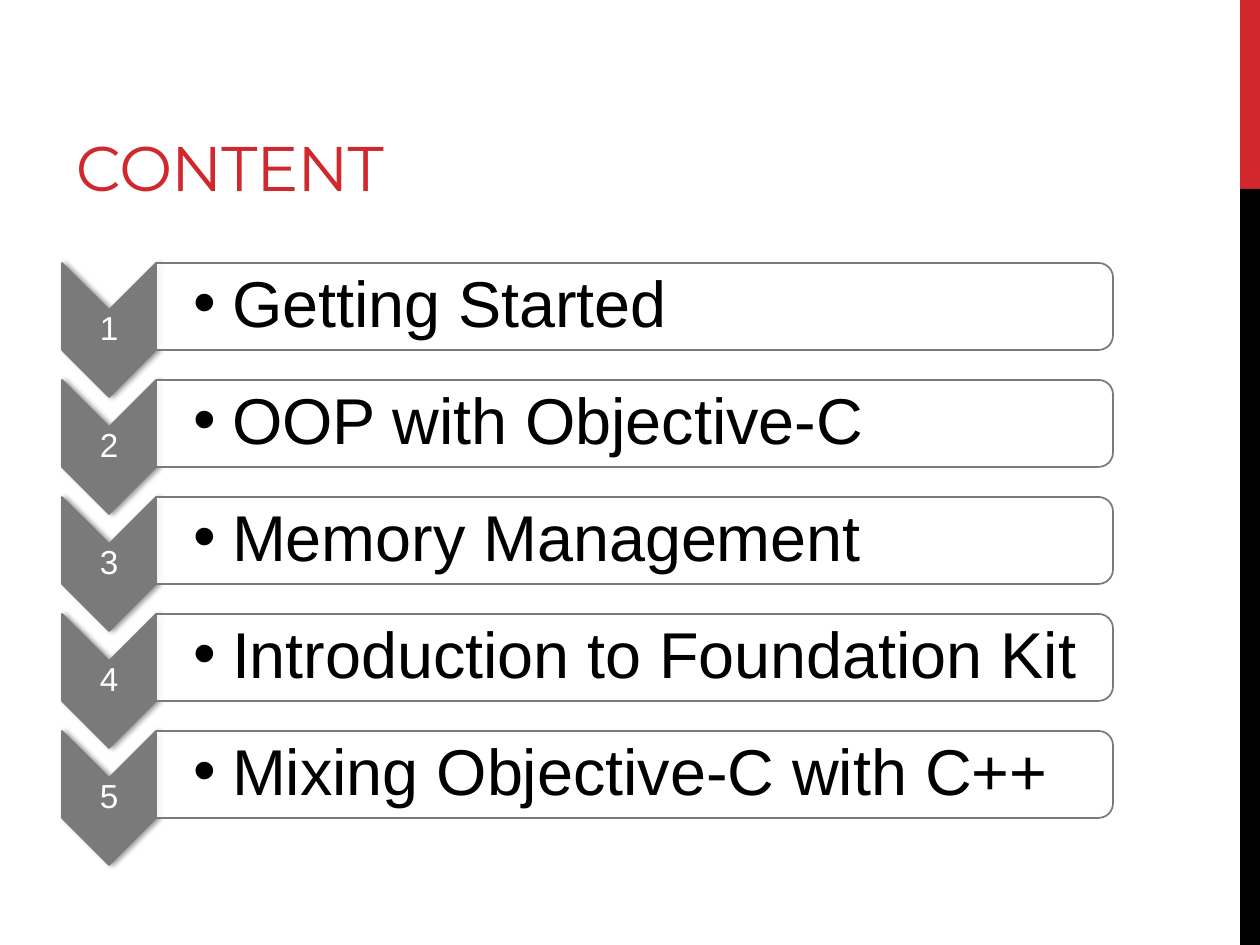
from dataclasses import dataclass

from lxml import etree
from pptx import Presentation
from pptx.dml.color import RGBColor
from pptx.enum.shapes import MSO_SHAPE
from pptx.enum.text import MSO_ANCHOR, PP_ALIGN
from pptx.oxml import parse_xml
from pptx.oxml.ns import qn
from pptx.util import Emu, Pt

RECT = MSO_SHAPE.RECTANGLE
CHEVRON = MSO_SHAPE.CHEVRON
CARD = MSO_SHAPE.ROUND_2_SAME_RECTANGLE
MIDDLE, BOTTOM = MSO_ANCHOR.MIDDLE, MSO_ANCHOR.BOTTOM
LEFT, CENTER = PP_ALIGN.LEFT, PP_ALIGN.CENTER

TOPICS = [
    "Getting Started",
    "OOP with Objective-C",
    "Memory Management",
    "Introduction to Foundation Kit",
    "Mixing Objective-C with C++",
]

SHADOW = (
    '<a:effectLst xmlns:a="http://schemas.openxmlformats.org/drawingml/2006/main">'
    '<a:outerShdw blurRad="39370" dist="22860" dir="0" rotWithShape="0">'
    '<a:srgbClr val="000000"><a:alpha val="40000"/></a:srgbClr>'
    '</a:outerShdw></a:effectLst>'
)


@dataclass(frozen=True)
class Theme:
    red: str = "D1282E"
    black: str = "000000"
    gray: str = "7A7A7A"
    white: str = "FFFFFF"
    head: str = "Montserrat"
    body: str = "Arial"
    title: int = 36
    topic: int = 37
    number: int = 19


THEME = Theme()


def px(count):
    return Emu(round(count * 914400 / 126))


def rgb(color):
    return RGBColor.from_string(color)


def add_shape(slide, kind, box, fill, line=None, turn=0):
    x, y, w, h = box
    if turn:
        x, y, w, h = x + (w - h) / 2, y + (h - w) / 2, h, w
    shape = slide.shapes.add_shape(kind, px(x), px(y), px(w), px(h))
    shape.rotation = turn
    shape.shadow.inherit = False
    shape.fill.solid()
    shape.fill.fore_color.rgb = rgb(fill)
    if line:
        shape.line.color.rgb = rgb(line)
        shape.line.width = Pt(1)
    else:
        shape.line.fill.background()
    return shape


def add_text(slide, box, text, face, size, color, anchor, insets, align=LEFT,
             space=1.0, indent=0):
    frame = slide.shapes.add_textbox(*map(px, box)).text_frame
    frame.word_wrap = True
    frame.vertical_anchor = anchor
    frame.margin_left, frame.margin_top, frame.margin_right, frame.margin_bottom = map(px, insets)
    para = frame.paragraphs[0]
    para.text = text
    para.alignment = align
    para.line_spacing = space
    if indent:
        props = para._p.get_or_add_pPr()
        props.set("marL", str(px(indent)))
        props.set("indent", str(-px(indent)))
        etree.SubElement(props, qn("a:buFont")).set("typeface", face)
        etree.SubElement(props, qn("a:buChar")).set("char", "•")
    para.font.name = face
    para.font.size = Pt(size)
    para.font.color.rgb = rgb(color)
    return para


def add_stripe(slide, x, y, w, h):
    top = h // 5
    add_shape(slide, RECT, (x, y, w, top), THEME.red)
    add_shape(slide, RECT, (x, y + top, w, h - top), THEME.black)


def add_title(slide, x, y, w, h):
    para = add_text(slide, (x, y, w, h), "CONTENT", THEME.head, THEME.title,
                    THEME.red, BOTTOM, (13, 6, 13, 6))
    para.runs[0]._r.get_or_add_rPr().set("spc", "-60")


def add_row(slide, x, y, w, h, number, topic):
    mark = 94
    arrow = add_shape(slide, CHEVRON, (x, y, mark, 134), THEME.gray, THEME.gray, 90)
    props = arrow._element.spPr
    props.replace(props.find(qn("a:effectLst")), parse_xml(SHADOW))
    add_text(slide, (x, y + 47, mark, 40), str(number), THEME.body, THEME.number,
             THEME.white, MIDDLE, (1, 1, 1, 1), CENTER, 0.9)
    left, wide = x + mark, w - mark
    card = add_shape(slide, CARD, (left, y, wide, h), THEME.white, THEME.gray, 90)
    tint = card._element.spPr.find(qn("a:solidFill"))[0]
    etree.SubElement(tint, qn("a:alpha")).set("val", "90000")
    add_text(slide, (left, y + 4, wide - 4, h - 8), topic, THEME.body, THEME.topic,
             THEME.black, MIDDLE, (37, 4, 4, 4), space=0.9, indent=39)


def add_list(slide, x, y, w, h):
    card, gap = 87, 30
    for place, topic in enumerate(TOPICS):
        add_row(slide, x, y + place * (card + gap), w, card, place + 1, topic)


def main():
    deck = Presentation()
    deck.slide_width, deck.slide_height = px(1260), px(945)
    slide = deck.slides.add_slide(deck.slide_layouts[6])
    add_stripe(slide, 1240, 0, 20, 945)
    add_title(slide, 63, 21, 798, 189)
    add_list(slide, 62, 263, 1051, 603)
    deck.save("out.pptx")


if __name__ == "__main__":
    main()
